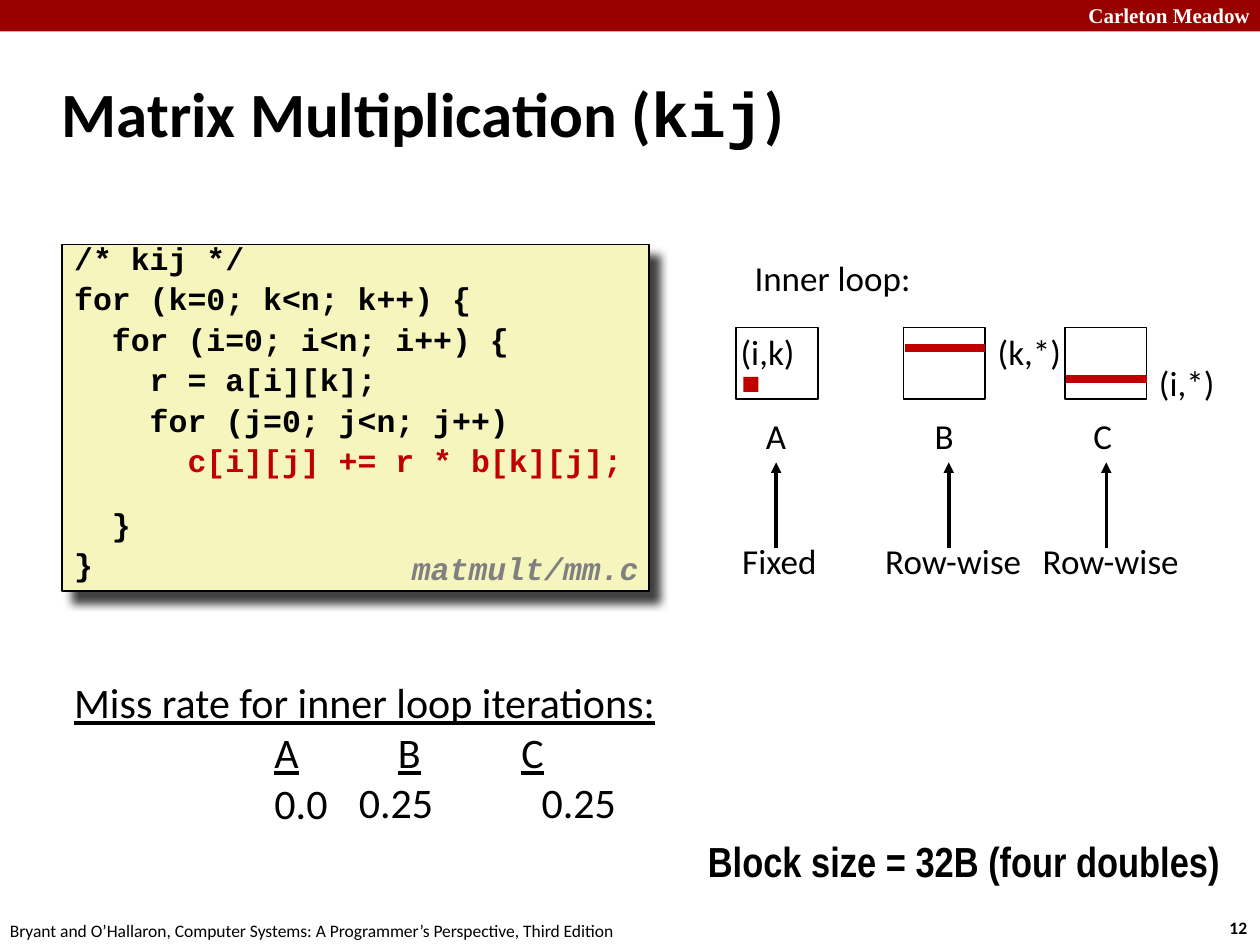
from lxml import etree
from pptx import Presentation
from pptx.dml.color import RGBColor
from pptx.enum.shapes import MSO_CONNECTOR, MSO_SHAPE
from pptx.enum.text import MSO_ANCHOR, PP_ALIGN
from pptx.oxml import parse_xml
from pptx.oxml.ns import qn
from pptx.util import Inches, Pt

RECTANGLE, STRAIGHT = MSO_SHAPE.RECTANGLE, MSO_CONNECTOR.STRAIGHT
LEFT, CENTER = PP_ALIGN.LEFT, PP_ALIGN.CENTER
TOP, MIDDLE = MSO_ANCHOR.TOP, MSO_ANCHOR.MIDDLE
A_NS = "http://schemas.openxmlformats.org/drawingml/2006/main"
BLACK, WHITE, RED, BAND = "000000", "FFFFFF", "C00000", "990000"
SANS, MONO = "Calibri", "Courier New"

TITLE = [("Matrix Multiplication (", SANS), ("kij", MONO), (")", SANS)]
# Code line, colour, space before in points
CODE = [
    ("/* kij */", BLACK, 3.5),
    ("for (k=0; k<n; k++) {", BLACK, 9.1),
    ("  for (i=0; i<n; i++) {", BLACK, 9.1),
    ("    r = a[i][k];", BLACK, 9.1),
    ("    for (j=0; j<n; j++)", BLACK, 9.1),
    ("      c[i][j] += r * b[k][j];", RED, 9.1),
    ("  }", BLACK, 22.4),
    ("}", BLACK, 9.1),
]
# Name, square left, name left, arrow x, access label left and width, access
MATRICES = [
    ("A", 5.84, 5.98, 6.16, 5.79, 0.79, "Fixed"),
    ("B", 7.17, 7.32, 7.53, 6.92, 1.29, "Row-wise"),
    ("C", 8.45, 8.58, 8.78, 8.17, 1.29, "Row-wise"),
]
INDEX_LABELS = [("(i,k)", 5.78, 2.57, 0.63), ("(k,*)", 7.82, 2.57, 0.71),
                ("(i,*)", 9.1, 2.82, 0.64)]
ROW_MARKS = [(7.18, 2.76), (8.46, 3.01)]
MISS_HEADING = "Miss rate for inner loop iterations:"
MISS_TABS = [1.59, 2.57, 3.55]
MISS_LEFTS = [2.75, 4.2]
# Text, position, size, font, colour, bold
FRAME_TEXTS = [
    ("Carleton Meadow", (8.54, -0.03, 1.52, 0.3), 12, "Times New Roman", WHITE, True),
    ("12", (9.66, 7.23, 0.37, 0.27), 10, SANS, BLACK, True),
    ("Bryant and O’Hallaron, Computer Systems: A Programmer’s Perspective, "
     "Third Edition", (-0.02, 7.25, 5.08, 0.27), 10, SANS, BLACK, False),
]


def rgb(color):
    return RGBColor.from_string(color)


def style(font, size, name=SANS, color=BLACK, bold=False):
    font.size, font.name, font.bold = Pt(size), name, bold
    font.color.rgb = rgb(color)


def add_text(page, text, at, size=20, name=SANS, color=BLACK, bold=False,
             align=LEFT, wrap=False):
    box = page.shapes.add_textbox(*map(Inches, at))
    box.text_frame.word_wrap = wrap
    para = box.text_frame.paragraphs[0]
    para.text, para.alignment = text, align
    style(para.font, size, name, color, bold)
    return box


def add_rect(page, at, fill, line=None):
    rect = page.shapes.add_shape(RECTANGLE, *map(Inches, at))
    rect.shadow.inherit = False
    rect.fill.solid()
    rect.fill.fore_color.rgb = rgb(fill)
    if line:
        rect.line.color.rgb = rgb(line)
        rect.line.width = Pt(1)
    else:
        rect.line.fill.background()
    return rect


def add_line(page, start, end, color, width, arrow=False):
    line = page.shapes.add_connector(STRAIGHT, *map(Inches, start + end))
    line.line.color.rgb = rgb(color)
    line.line.width = Pt(width)
    props = line._element.spPr
    if arrow:
        etree.SubElement(props.find(qn("a:ln")), qn("a:tailEnd"), type="triangle")
    etree.SubElement(props, qn("a:effectLst"))


def add_drop_shadow(shape):
    effects = shape._element.spPr.find(qn("a:effectLst"))
    effects.append(parse_xml(
        f'<a:outerShdw xmlns:a="{A_NS}" blurRad="{Pt(5)}" dist="{Pt(8.5)}" '
        f'dir="2700000" algn="tl" rotWithShape="0"><a:srgbClr val="{BLACK}">'
        '<a:alpha val="75000"/></a:srgbClr></a:outerShdw>'))


def set_tabs(para, stops):
    tabs = etree.SubElement(para._p.get_or_add_pPr(), qn("a:tabLst"))
    for stop in stops:
        etree.SubElement(tabs, qn("a:tab"), pos=str(Inches(stop)), algn="l")


def add_title(page):
    title = page.shapes.title
    title.left, title.top, title.width, title.height = map(
        Inches, (0.39, 0.48, 8.3, 0.83))
    title.text_frame.vertical_anchor = MIDDLE
    para = title.text_frame.paragraphs[0]
    para.alignment = LEFT
    for text, name in TITLE:
        span = para.add_run()
        span.text = text
        style(span.font, 36, name, bold=True)


def add_code(page):
    panel = add_rect(page, (0.49, 1.94, 4.66, 2.75), "F6F5BD", BLACK)
    add_drop_shadow(panel)
    frame = panel.text_frame
    frame.word_wrap, frame.vertical_anchor = True, TOP
    for index, (text, color, space) in enumerate(CODE):
        para = frame.add_paragraph() if index else frame.paragraphs[0]
        para.text, para.alignment = text, LEFT
        para.line_spacing, para.space_before = 0.65, Pt(space)
        style(para.font, 18, MONO, color, True)
    label = add_text(page, "matmult/mm.c", (3.17, 4.31, 2.08, 0.39), 18, MONO,
                     "808080", True)
    label.text_frame.paragraphs[0].font.italic = True


def add_inner_loop(page):
    add_text(page, "Inner loop:", (5.89, 1.99, 1.45, 0.43))
    for name, square, name_left, arrow, left, width, access in MATRICES:
        add_rect(page, (square, 2.6, 0.65, 0.57), WHITE, BLACK)
        add_text(page, name, (name_left, 3.24, 0.36, 0.43))
        add_text(page, access, (left, 4.23, width, 0.43), align=CENTER)
        add_line(page, (arrow, 4.35), (arrow, 3.67), BLACK, 2, arrow=True)
    add_rect(page, (5.9, 2.99, 0.12, 0.12), RED)
    for left, top in ROW_MARKS:
        add_line(page, (left, top), (left + 0.64, top), RED, 4.5)
    for text, left, top, width in INDEX_LABELS:
        add_text(page, text, (left, top, width, 0.43))


def add_miss_rates(page):
    box = add_text(page, MISS_HEADING, (0.49, 5.32, 5.43, 1.34), 24, wrap=True)
    frame = box.text_frame
    frame.paragraphs[0].font.underline = True
    names = frame.add_paragraph()
    for matrix in MATRICES:
        names.add_run().text = "\t"
        span = names.add_run()
        span.text, span.font.underline = matrix[0], True
    rates = frame.add_paragraph()
    rates.text = "\t0.0"
    for para in (names, rates):
        set_tabs(para, MISS_TABS)
        style(para.font, 24)
    for left in MISS_LEFTS:
        add_text(page, "0.25", (left, 6.11, 0.8, 0.5), 24)


def main():
    deck = Presentation()
    deck.slide_width, deck.slide_height = Inches(10), Inches(7.5)
    page = deck.slides.add_slide(deck.slide_layouts[5])
    add_rect(page, (0, 0, 10, 0.25), BAND)
    for text, at, size, name, color, bold in FRAME_TEXTS:
        add_text(page, text, at, size, name, color, bold)
    add_title(page)
    add_code(page)
    add_inner_loop(page)
    add_miss_rates(page)
    add_text(page, "Block size = 32B (four doubles)", (5.52, 6.58, 4.4, 0.5), 24,
             "Arial Narrow", bold=True, wrap=True)
    deck.save("out.pptx")


if __name__ == "__main__":
    main()
